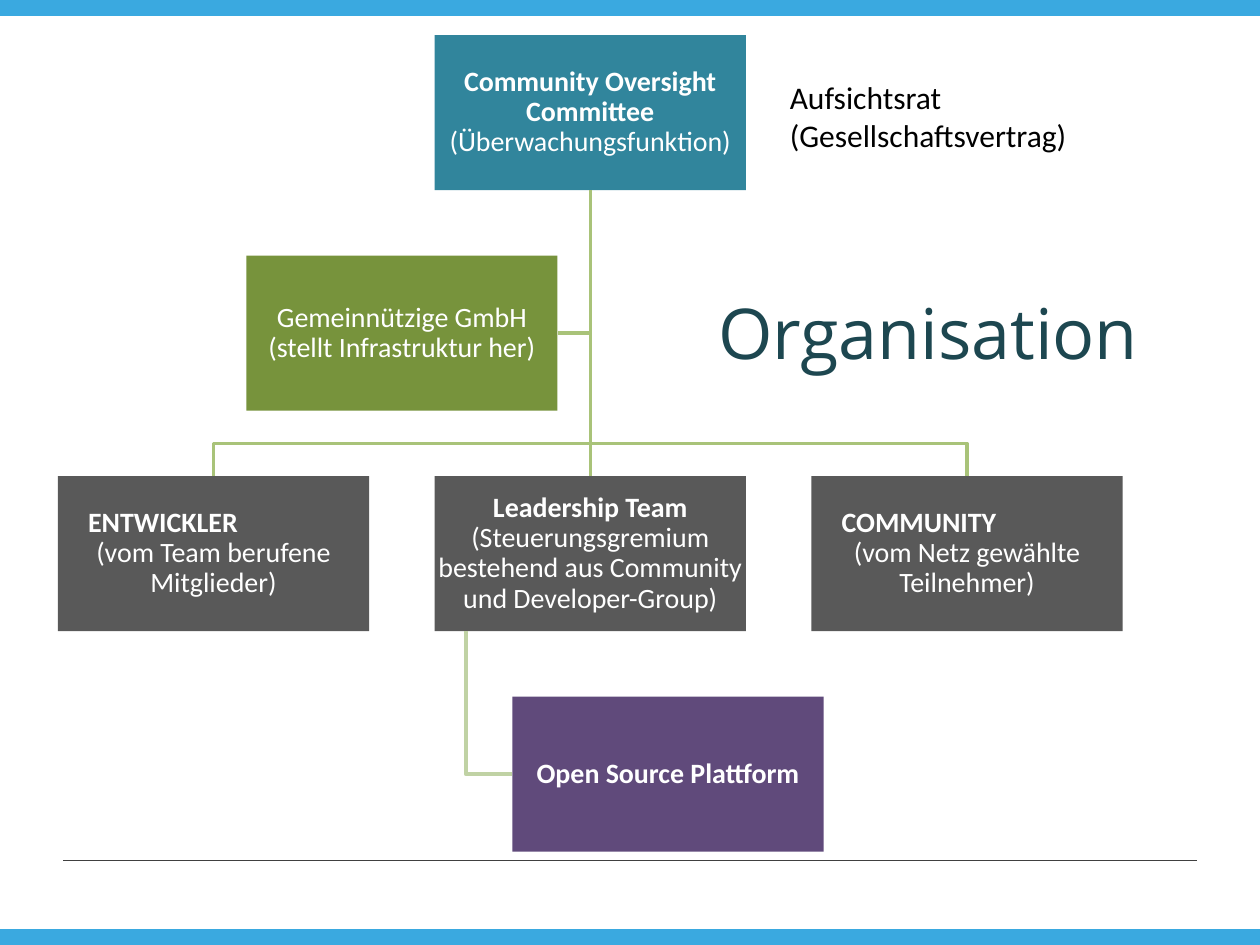
import pptx
import pptx.util
import pptx.dml.color
import pptx.enum.shapes
import pptx.enum.text
import lxml.etree

RGB = pptx.dml.color.RGBColor
Inches, Pt = pptx.util.Inches, pptx.util.Pt
ALIGN, ANCHOR = pptx.enum.text.PP_ALIGN, pptx.enum.text.MSO_ANCHOR
RECT = pptx.enum.shapes.MSO_SHAPE.RECTANGLE
STRAIGHT = pptx.enum.shapes.MSO_CONNECTOR.STRAIGHT

WHITE, BLACK = RGB(255, 255, 255), RGB(0, 0, 0)
SKY, RULE, NAVY = RGB(0x3A, 0xA9, 0xE0), RGB(0x40, 0x40, 0x40), RGB(0x1D, 0x47, 0x50)
TEAL, GREEN = RGB(0x31, 0x85, 0x9C), RGB(0x77, 0x93, 0x3C)
GREY, PURPLE = RGB(0x59, 0x59, 0x59), RGB(0x60, 0x4A, 0x7B)
BRANCH, SUBBRANCH = RGB(0xA9, 0xC3, 0x79), RGB(0xC0, 0xD2, 0xA4)

SLIDE_W, SLIDE_H, BAR_H = 10, 7.5, 0.12
LEFT, TOP, BOX_W, BOX_H, GAP = 0.46, 0.28, 2.47, 1.23, 0.52
HEAD_INDENT = 0.23

# name: (column, row, shift in box widths, fill, bold head, plain body, head on own left-aligned line)
BOXES = {
    "committee": (1, 0, 0, TEAL, "Community Oversight Committee ", "(Überwachungsfunktion)", False),
    "developers": (0, 2, 0, GREY, "ENTWICKLER", "(vom Team berufene Mitglieder)", True),
    "leaders": (1, 2, 0, GREY, "Leadership Team ",
                "(Steuerungsgremium bestehend aus Community und Developer-Group)", False),
    "platform": (1, 3, 0.25, PURPLE, "Open Source Plattform", "", False),
    "community": (2, 2, 0, GREY, "COMMUNITY", "(vom Netz gewählte Teilnehmer)", True),
    "company": (0.5, 1, 0, GREEN, "", "Gemeinnützige GmbH (stellt Infrastruktur her)", False),
}
NOTE = ["Aufsichtsrat", "(Gesellschaftsvertrag)"]


def set_all(obj, **values):
    for name, value in values.items():
        setattr(obj, name, value)


def add_run(p, text, size, color, font="Calibri", bold=False):
    r = p.add_run()
    r.text = text
    set_all(r.font, name=font, size=Pt(size), bold=bold)
    r.font.color.rgb = color


def add_rect(slide, x, y, w, h, fill):
    sp = slide.shapes.add_shape(RECT, *map(Inches, (x, y, w, h)))
    sp.shadow.inherit = False
    sp.fill.solid()
    sp.fill.fore_color.rgb = fill
    sp.line.fill.background()
    return sp


def set_line(sp, color, width):
    sp.line.color.rgb = color
    sp.line.width = Pt(width)


def add_line(slide, x1, y1, x2, y2, color, width):
    c = slide.shapes.add_connector(STRAIGHT, *map(Inches, (x1, y1, x2, y2)))
    set_line(c, color, width)
    lxml.etree.SubElement(c._element.spPr, pptx.oxml.ns.qn("a:effectLst"))
    return c


def add_elbow(slide, points, color):
    start, *rest = [(Inches(x), Inches(y)) for x, y in points]
    builder = slide.shapes.build_freeform(*start)
    builder.add_line_segments(rest, close=False)
    sp = builder.convert_to_shape()
    sp.shadow.inherit = False
    sp.fill.background()
    set_line(sp, color, 2)


def box_position(name):
    col, row, shift = BOXES[name][:3]
    return LEFT + col * (BOX_W + GAP) + shift * BOX_W, TOP + row * (BOX_H + GAP)


def add_box(slide, name):
    fill, head, body, split = BOXES[name][3:]
    sp = add_rect(slide, *box_position(name), BOX_W, BOX_H, fill)
    tf = sp.text_frame
    set_all(tf, word_wrap=True, vertical_anchor=ANCHOR.MIDDLE,
            **{f"margin_{side}": Inches(0.01) for side in ("left", "right", "top", "bottom")})
    p = tf.paragraphs[0]
    if head:
        add_run(p, head, 16, WHITE, bold=True)
    if split:
        p.alignment = ALIGN.LEFT
        p._p.get_or_add_pPr().set("marL", str(Inches(HEAD_INDENT)))
        p.line_spacing = 0.9
        p = tf.add_paragraph()
    set_all(p, alignment=ALIGN.CENTER, line_spacing=0.9)
    if body:
        add_run(p, body, 16, WHITE)
    return sp


def add_links(slide, boxes):
    x, y = box_position("committee")
    trunk, start = x + BOX_W / 2, y + BOX_H
    x, y = box_position("company")
    middle = y + BOX_H / 2
    add_elbow(slide, [(trunk, start), (trunk, middle), (x + BOX_W, middle)], BRANCH)
    for name in ("community", "developers"):
        x, y = box_position(name)
        end, bus = x + BOX_W / 2, y - GAP / 2
        add_elbow(slide, [(trunk, start), (trunk, bus), (end, bus), (end, y)], BRANCH)
    c = add_line(slide, trunk, start, trunk, y, BRANCH, 2)
    c.begin_connect(boxes["committee"], 2)
    c.end_connect(boxes["leaders"], 0)
    x, y = box_position("leaders")
    leg = x + BOX_W / 10
    end, y_end = box_position("platform")
    middle = y_end + BOX_H / 2
    add_elbow(slide, [(leg, y + BOX_H), (leg, middle), (end, middle)], SUBBRANCH)


def main():
    prs = pptx.Presentation()
    set_all(prs, slide_width=Inches(SLIDE_W), slide_height=Inches(SLIDE_H))
    slide = prs.slides.add_slide(prs.slide_layouts[5])

    for y in (0, SLIDE_H - BAR_H):
        set_line(add_rect(slide, 0, y, SLIDE_W, BAR_H, SKY), SKY, 0.75)
    add_line(slide, 0.5, 6.83, SLIDE_W - 0.5, 6.83, RULE, 0.25)

    boxes = {name: add_box(slide, name) for name in BOXES}
    add_links(slide, boxes)

    title = slide.shapes.title
    set_all(title, left=Inches(5.6), top=Inches(2.22), width=Inches(3.92), height=Inches(0.83))
    title.text_frame.vertical_anchor = ANCHOR.MIDDLE
    p = title.text_frame.paragraphs[0]
    p.alignment = ALIGN.LEFT
    add_run(p, "Organisation", 40, NAVY, "Open Sans")

    note = slide.shapes.add_textbox(*map(Inches, (6.17, 0.57, 2.43, 0.71)))
    tf = note.text_frame
    tf.word_wrap = False
    for i, text in enumerate(NOTE):
        p = tf.add_paragraph() if i else tf.paragraphs[0]
        add_run(p, text, 18, BLACK)

    prs.save("out.pptx")


if __name__ == "__main__":
    main()
